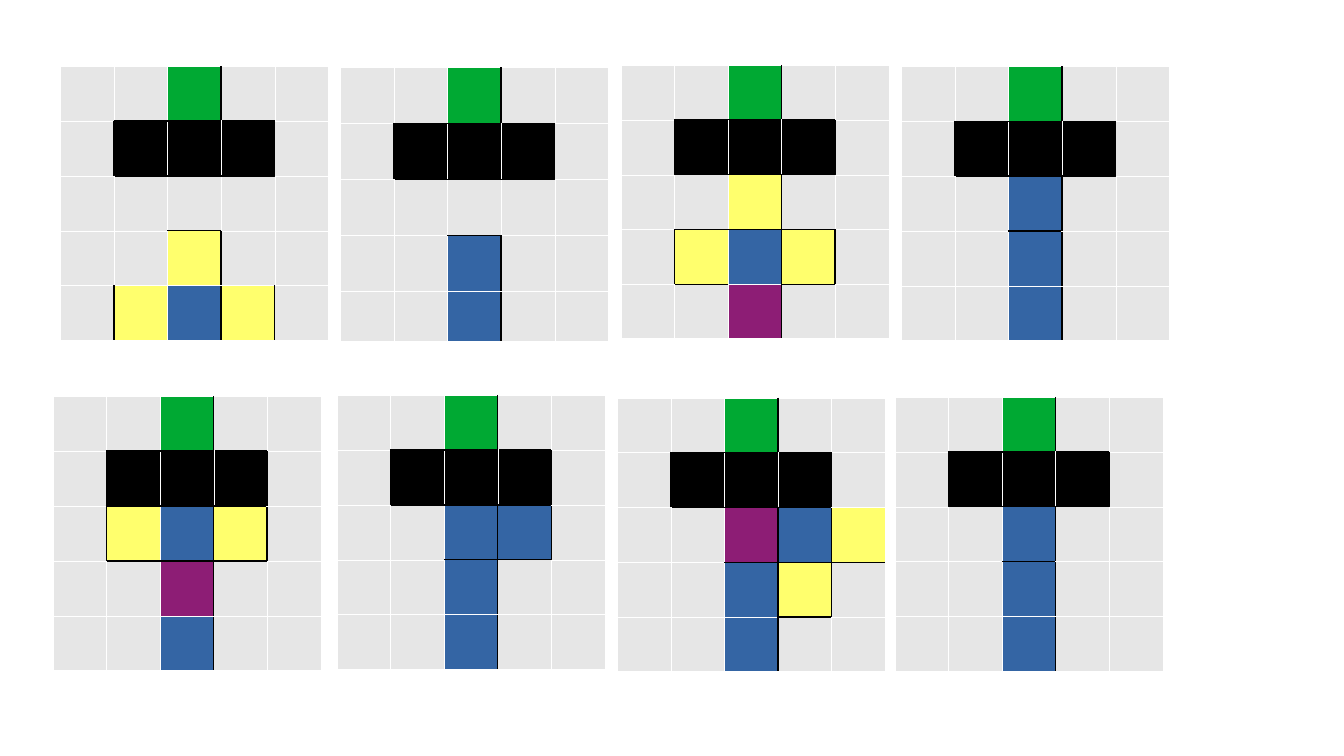
"""Build a slide with eight five-by-five grids of coloured cells."""
from lxml import etree
from pptx import Presentation
from pptx.dml.color import RGBColor
from pptx.oxml.ns import qn
from pptx.util import Pt

GREY = RGBColor(0xE6, 0xE6, 0xE6)
GREEN = RGBColor(0x00, 0xA9, 0x33)
BLACK = RGBColor(0x00, 0x00, 0x00)
YELLOW = RGBColor(0xFF, 0xFF, 0x6D)
BLUE = RGBColor(0x34, 0x65, 0xA4)
PURPLE = RGBColor(0x8D, 0x1D, 0x75)
WHITE = RGBColor(0xFF, 0xFF, 0xFF)

FILLS = {".": GREY, "G": GREEN, "K": BLACK, "Y": YELLOW, "B": BLUE, "P": PURPLE}
SIZE = 5
COL_WIDTH = 31.65
ROW_HEIGHTS = (32.4, 32.4, 32.4, 32.4, 32)
TALL_ROW_HEIGHTS = (33.1, 33.1, 33.1, 33.1, 29.3)
TOP_ROWS = ("..G..", ".KKK.")
PILLAR = ("..B..", "..B..", "..B..")

GRIDS = (
    (35.6, 39, ROW_HEIGHTS, (".....", "..Y..", ".YBY.")),
    (366.5, 38.3, ROW_HEIGHTS, ("..Y..", ".YBY.", "..P..")),
    (200.9, 39.8, TALL_ROW_HEIGHTS, (".....", "..B..", "..B..")),
    (532.1, 39.2, ROW_HEIGHTS, PILLAR),
    (364.3, 234.8, ROW_HEIGHTS, ("..PBY", "..BY.", "..B..")),
    (31.2, 234, ROW_HEIGHTS, (".YBY.", "..P..", "..B..")),
    (198.9, 233.3, ROW_HEIGHTS, ("..BB.", "..B..", "..B..")),
    (528.2, 234.4, ROW_HEIGHTS, PILLAR),
)


def dark_upright(rows, r, line):
    """Tell whether the upright edge at a column line is black."""
    if line in (0, SIZE):
        return False
    if line == 1:
        return rows[r][1] != "."
    return line > 2 and rows[r][line - 1] != "." and rows[r][2:4] != "KK" or (
        line == 4 and rows[r][3] == "K")


def dark_level(rows, line, c):
    """Tell whether the level edge at a row line is black."""
    if line in (0, SIZE):
        return False
    above, below = rows[line - 1][c], rows[line][c]
    if line in (1, 3):
        return above != "." or below != "."
    return above != "." and (line, c) != (4, 2)


def add_border(cell, side, dark):
    """Draw one side of a cell as a black line or a white hairline."""
    width = Pt(1) if dark else Pt(0.06)
    ln = etree.SubElement(cell._tc.get_or_add_tcPr(), qn("a:" + side), w=str(width))
    fill = etree.SubElement(ln, qn("a:solidFill"))
    etree.SubElement(fill, qn("a:srgbClr"), val=str(BLACK if dark else WHITE))


def style_cell(cell, rows, r, c):
    """Set the borders and the fill of one cell."""
    add_border(cell, "lnL", dark_upright(rows, r, c))
    add_border(cell, "lnR", dark_upright(rows, r, c + 1))
    add_border(cell, "lnT", dark_level(rows, r, c))
    add_border(cell, "lnB", dark_level(rows, r + 1, c))
    cell.fill.solid()
    cell.fill.fore_color.rgb = FILLS[rows[r][c]]


def add_grid(s, left, top, heights, lower_rows):
    """Add one grid under the shared top rows."""
    rows = TOP_ROWS + lower_rows
    table = s.shapes.add_table(SIZE, SIZE, Pt(left), Pt(top),
                               Pt(SIZE * COL_WIDTH), Pt(sum(heights))).table
    table.first_row = False
    table.horz_banding = False
    for column in table.columns:
        column.width = Pt(COL_WIDTH)
    for r, height in enumerate(heights):
        table.rows[r].height = Pt(height)
        for c in range(SIZE):
            style_cell(table.cell(r, c), rows, r, c)


def main():
    """Create the slide and save it."""
    prs = Presentation()
    prs.slide_width, prs.slide_height = Pt(793.44), Pt(446.4)
    s = prs.slides.add_slide(prs.slide_layouts[6])
    for grid in GRIDS:
        add_grid(s, *grid)
    prs.save("out.pptx")


if __name__ == "__main__":
    main()
